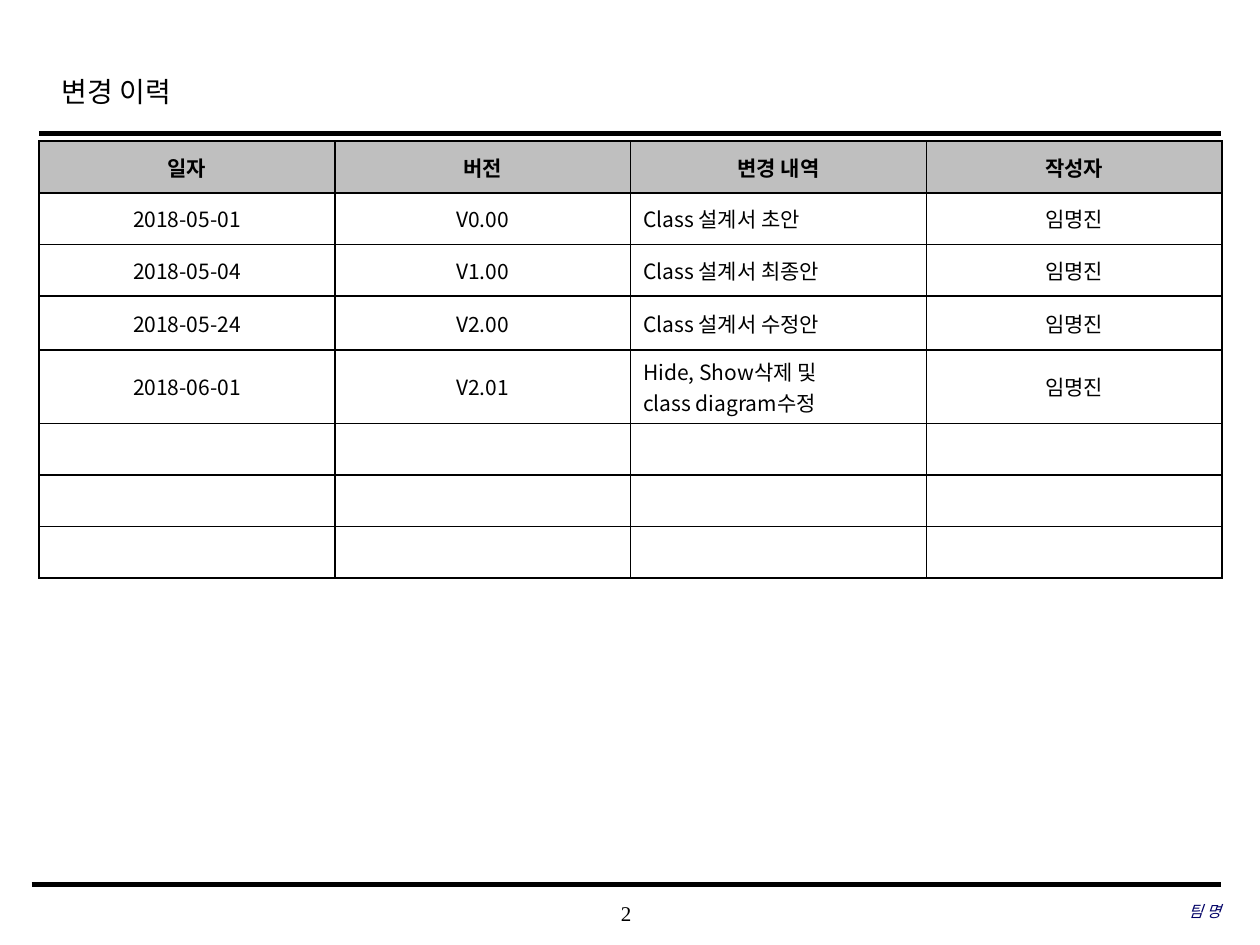
from dataclasses import dataclass
from lxml.etree import SubElement
from pptx import Presentation
from pptx.dml.color import RGBColor
from pptx.enum.shapes import MSO_CONNECTOR
from pptx.enum.text import MSO_ANCHOR, PP_ALIGN
from pptx.oxml.ns import qn
from pptx.util import Inches, Pt

# Content
TITLE = "변경 이력"
PAGE = "2"
TEAM = "팀 명"
HEAD = ("일자", "버전", "변경 내역", "작성자")
LOG = [
    ("2018-05-01", "V0.00", "Class 설계서 초안", "임명진"),
    ("2018-05-04", "V1.00", "Class 설계서 최종안", "임명진"),
    ("2018-05-24", "V2.00", "Class 설계서 수정안", "임명진"),
    ("2018-06-01", "V2.01", "Hide, Show삭제 및\nclass diagram수정", "임명진"),
]
SPARE = 3
NOTE_COL = 2


@dataclass(frozen=True)
class Theme:
    ink: str = "000000"
    navy: str = "000066"
    gray: str = "BFBFBF"
    white: str = "FFFFFF"
    serif: str = "Times New Roman"
    sans: str = "Noto Sans CJK KR"
    title: int = 16
    body: int = 12
    small: int = 9


T = Theme()
LEFT, RIGHT = 0.31, 9.69
WIDTH = 9.39
ROW = 0.41
HEIGHTS = {3: 0.43, 4: 0.58}  # rows that differ; the last holds two lines


def style(para, size, face, color=T.ink, align=PP_ALIGN.LEFT, bold=False, italic=False):
    para.alignment = align
    font = para.font
    font.size, font.name = Pt(size), face
    font.bold, font.italic = bold, italic
    font.color.rgb = RGBColor.from_string(color)
    props = para._p.pPr.find(qn("a:defRPr"))
    SubElement(props, qn("a:ea"), typeface=T.sans)


def rule(slide, left, top, width):
    line = slide.shapes.add_connector(
        MSO_CONNECTOR.STRAIGHT, Inches(left), Inches(top), Inches(RIGHT), Inches(top))
    line.line.color.rgb = RGBColor.from_string(T.ink)
    line.line.width = Pt(width)
    SubElement(line._element.spPr, qn("a:effectLst"))


def label(slide, text, left, top, width, height, *look, **more):
    frame = slide.shapes.add_textbox(
        Inches(left), Inches(top), Inches(width), Inches(height)).text_frame
    frame.word_wrap = True
    frame.vertical_anchor = MSO_ANCHOR.MIDDLE
    frame.margin_left = frame.margin_right = frame.margin_top = frame.margin_bottom = 0
    frame.text = text
    style(frame.paragraphs[0], *look, **more)


def border(cell):
    props = cell._tc.get_or_add_tcPr()
    for i, side in enumerate(("lnL", "lnR", "lnT", "lnB")):
        edge = props.makeelement(qn("a:" + side), {"w": str(Pt(1))})
        fill = SubElement(edge, qn("a:solidFill"))
        SubElement(fill, qn("a:srgbClr"), val=T.ink)
        props.insert(i, edge)


deck = Presentation()
deck.slide_width, deck.slide_height = Inches(10), Inches(7.5)
slide = deck.slides.add_slide(deck.slide_layouts[5])

# Rules and footer
rule(slide, LEFT, 1.06, 2.5)
rule(slide, 0.25, 7.02, 3)
label(slide, PAGE, 3.93, 7.08, 2.08, 0.33, T.body, T.serif, align=PP_ALIGN.CENTER)
label(slide, TEAM, 6.63, 7.07, 3.06, 0.33, T.small, T.serif, T.navy,
      PP_ALIGN.RIGHT, italic=True)

# Title
title = slide.shapes.title
title.left, title.top = Inches(0.39), Inches(0.45)
title.width, title.height = Inches(7.55), Inches(0.5)
title.text_frame.text = TITLE
title.text_frame.vertical_anchor = MSO_ANCHOR.MIDDLE
para = title.text_frame.paragraphs[0]
para.line_spacing = 1.2
style(para, T.title, T.serif)

# Change log table
rows = [HEAD, *LOG, *[("",) * len(HEAD)] * SPARE]
sizes = [HEIGHTS.get(r, ROW) for r in range(len(rows))]
table = slide.shapes.add_table(
    len(rows), len(HEAD), Inches(LEFT), Inches(1.12),
    Inches(WIDTH), Inches(sum(sizes))).table
for col in table.columns:
    col.width = Inches(WIDTH / len(HEAD))
for r, row in enumerate(rows):
    table.rows[r].height = Inches(sizes[r])
    for c, text in enumerate(row):
        cell = table.cell(r, c)
        cell.text = text
        cell.vertical_anchor = MSO_ANCHOR.MIDDLE
        cell.fill.solid()
        cell.fill.fore_color.rgb = RGBColor.from_string(T.white if r else T.gray)
        border(cell)
        align = PP_ALIGN.LEFT if r and c == NOTE_COL else PP_ALIGN.CENTER
        for para in cell.text_frame.paragraphs:
            style(para, T.body, T.sans, align=align, bold=r == 0)

deck.save("out.pptx")
